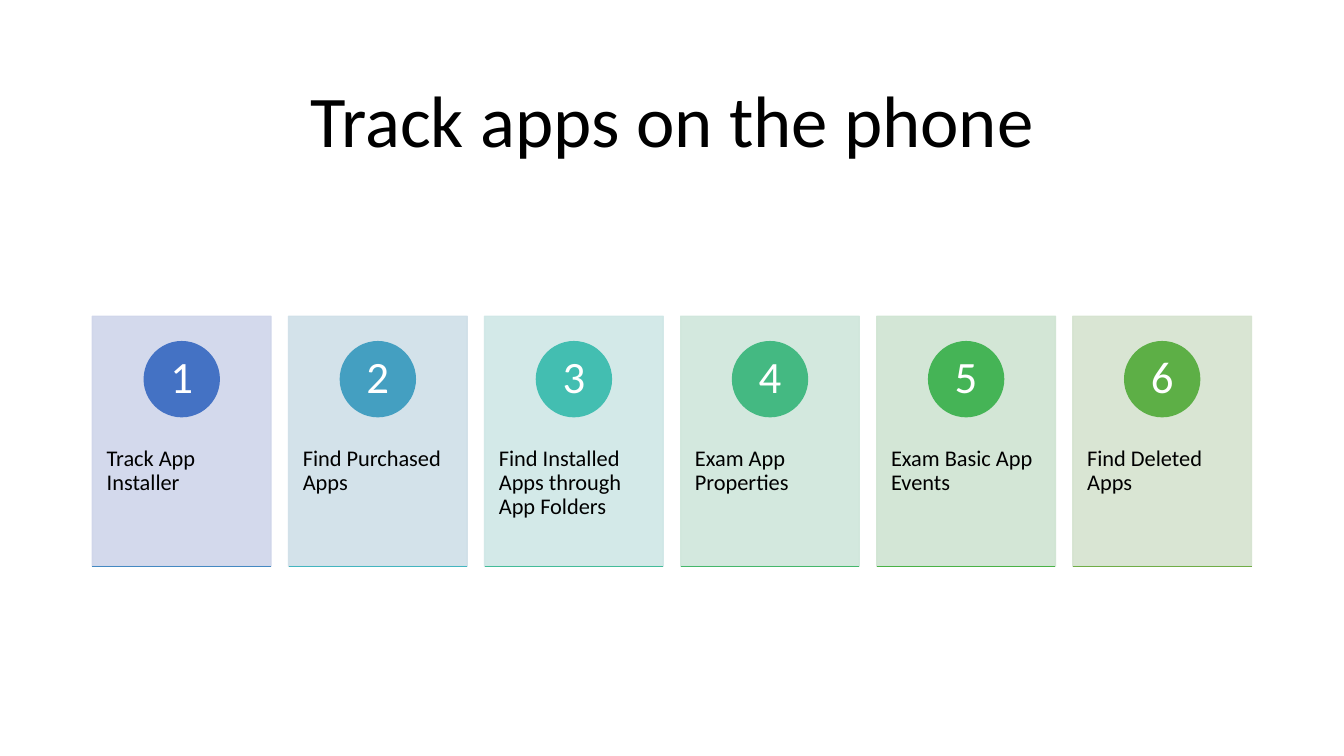
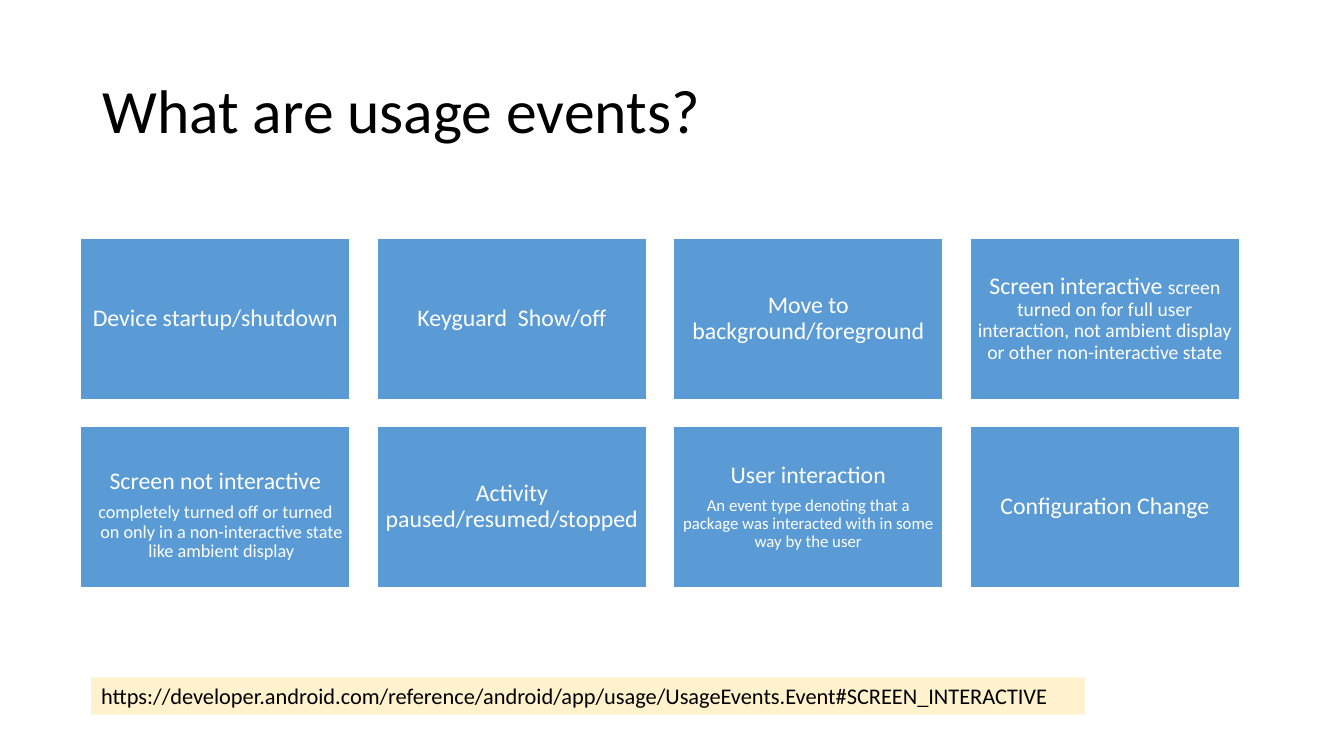
from dataclasses import dataclass

from lxml import etree
from pptx import Presentation
from pptx import util as u
from pptx.dml.color import RGBColor
from pptx.enum import shapes, text
from pptx.oxml.ns import qn


@dataclass(frozen=True)
class Theme:
    font: str = "Calibri"
    ink: str = "000000"
    paper: str = "FFFFFF"
    event_fill: str = "5B9BD5"
    link_fill: str = "FFF2CC"
    title_large: int = 52
    title: int = 44
    badge: int = 32
    event: int = 17
    body: int = 16
    line_width: int = 1
    line_spacing: float = 0.9
    card_opacity: int = 90


@dataclass(frozen=True)
class Box:
    """A region in centimetres."""
    left: float
    top: float
    width: float
    height: float

    def lengths(self):
        return [u.Cm(v) for v in (self.left, self.top, self.width, self.height)]

    def cells(self, columns, rows, gap):
        """Equal cells, row by row."""
        width = (self.width - gap * (columns - 1)) / columns
        height = (self.height - gap * (rows - 1)) / rows
        return [Box(self.left + column * (width + gap),
                    self.top + row * (height + gap), width, height)
                for row in range(rows) for column in range(columns)]


@dataclass(frozen=True)
class Step:
    label: str
    card: str
    badge: str
    rule: str


@dataclass(frozen=True)
class Event:
    heading: str
    detail: str = ""
    detail_size: int = 12
    same_paragraph: bool = False
    lowered: bool = False


THEME = Theme()
SLIDE_SIZE = (33.87, 19.05)

STEPS = [
    Step("Track App Installer", "CFD5EA", "4472C4", "4489C2"),
    Step("Find Purchased Apps", "CFDFE8", "449FC1", "43B5BF"),
    Step("Find Installed Apps through App Folders", "CFE7E6", "43BEB1", "43BC99"),
    Step("Exam App Properties", "CFE6DB", "44B982", "44B76B"),
    Step("Exam Basic App Events", "CFE4D2", "45B456", "49B246"),
    Step("Find Deleted Apps", "D5E3CF", "5DAF46", "70AD47"),
]

EVENTS = [
    Event("Device startup/shutdown"),
    Event("Keyguard  Show/off"),
    Event("Move to background/foreground"),
    Event("Screen interactive ",
          "screen turned on for full user interaction, not ambient display "
          "or other non-interactive state", 14, same_paragraph=True),
    Event("Screen not interactive",
          "completely turned off or turned on only in a non-interactive state "
          "like ambient display", 13, lowered=True),
    Event("Activity paused/resumed/stopped"),
    Event("User interaction",
          "An event type denoting that a package was interacted with in some "
          "way by the user", 12),
    Event("Configuration Change"),
]

LINK = ("https://developer.android.com/reference/android/app/usage/"
        "UsageEvents.Event#SCREEN_INTERACTIVE")


def format_run(run, size, color):
    run.font.name = THEME.font
    run.font.size = u.Pt(size)
    run.font.color.rgb = RGBColor.from_string(color)


def format_paragraph(paragraph, size, color, align, spacing=THEME.line_spacing):
    paragraph.alignment = align
    paragraph.line_spacing = spacing
    for run in paragraph.runs:
        format_run(run, size, color)


def set_frame(frame, anchor, margins):
    """Wrap and anchor a frame; margins are horizontal, top and bottom."""
    side, top, bottom = (u.Cm(margin) for margin in margins)
    frame.word_wrap = True
    frame.vertical_anchor = anchor
    frame.margin_left = frame.margin_right = side
    frame.margin_top, frame.margin_bottom = top, bottom


def add_panel(slide, box, fill, line=None, kind=shapes.MSO_SHAPE.RECTANGLE):
    panel = slide.shapes.add_shape(kind, *box.lengths())
    panel.shadow.inherit = False
    panel.fill.solid()
    panel.fill.fore_color.rgb = RGBColor.from_string(fill)
    if line:
        panel.line.color.rgb = RGBColor.from_string(line)
        panel.line.width = u.Pt(THEME.line_width)
    else:
        panel.line.fill.background()
    return panel


def set_opacity(shape, percent):
    for color in shape._element.spPr.iter(qn("a:srgbClr")):
        etree.SubElement(color, qn("a:alpha")).set("val", str(percent * 1000))


def add_title(slide, box, title, size, align):
    frame = slide.shapes.add_textbox(*box.lengths()).text_frame
    set_frame(frame, text.MSO_ANCHOR.MIDDLE, (0.25, 0.13, 0.13))
    frame.text = title
    format_paragraph(frame.paragraphs[0], size, THEME.ink, align)


def add_rule(slide, box, color):
    """Draw a line along the bottom edge of the box."""
    bottom = u.Cm(box.top + box.height)
    rule = slide.shapes.add_connector(
        shapes.MSO_CONNECTOR.STRAIGHT,
        u.Cm(box.left), bottom, u.Cm(box.left + box.width), bottom)
    rule.line.color.rgb = RGBColor.from_string(color)
    rule.line.width = u.Pt(THEME.line_width)
    etree.SubElement(rule._element.spPr, qn("a:effectLst"))


def add_step_card(slide, box, number, step):
    card = add_panel(slide, box, step.card, step.card)
    set_opacity(card, THEME.card_opacity)
    set_frame(card.text_frame, text.MSO_ANCHOR.TOP, (0.36, 3.3, 0.9))
    card.text_frame.text = step.label
    format_paragraph(card.text_frame.paragraphs[0], THEME.body, THEME.ink,
                     text.PP_ALIGN.LEFT)

    diameter = 1.89
    badge_box = Box(box.left + (box.width - diameter) / 2, box.top + 0.64,
                    diameter, diameter)
    badge = add_panel(slide, badge_box, step.badge, step.badge,
                      shapes.MSO_SHAPE.OVAL)
    set_frame(badge.text_frame, text.MSO_ANCHOR.MIDDLE, (0, 0, 0))
    badge.text_frame.text = str(number)
    format_paragraph(badge.text_frame.paragraphs[0], THEME.badge, THEME.paper,
                     text.PP_ALIGN.CENTER)
    add_rule(slide, box, step.rule)


def add_event_tile(slide, box, event):
    tile = add_panel(slide, box, THEME.event_fill, THEME.paper)
    frame = tile.text_frame
    if event.lowered:
        set_frame(frame, text.MSO_ANCHOR.TOP, (0.17, 1.06, 0.17))
    else:
        set_frame(frame, text.MSO_ANCHOR.MIDDLE, (0.17, 0.17, 0.17))
    frame.text = event.heading
    heading = frame.paragraphs[0]
    format_paragraph(heading, THEME.event, THEME.paper, text.PP_ALIGN.CENTER)
    if not event.detail:
        return
    if event.same_paragraph:
        run = heading.add_run()
        run.text = event.detail
        format_run(run, event.detail_size, THEME.paper)
        return
    detail = frame.add_paragraph()
    detail.text = event.detail
    detail.space_before = u.Pt(6)
    format_paragraph(detail, event.detail_size, THEME.paper,
                     text.PP_ALIGN.CENTER)
    if event.lowered:
        properties = detail._p.get_or_add_pPr()
        properties.set("marL", str(u.Cm(0.3)))
        properties.set("indent", str(u.Cm(-0.3)))


def add_link_bar(slide, box, link):
    bar = add_panel(slide, box, THEME.link_fill)
    set_frame(bar.text_frame, text.MSO_ANCHOR.TOP, (0.25, 0.13, 0.13))
    bar.text_frame.text = link
    format_paragraph(bar.text_frame.paragraphs[0], THEME.body, THEME.ink,
                     text.PP_ALIGN.LEFT, 1.0)


def build_steps_slide(slide):
    add_title(slide, Box(2.33, 1.55, 29.21, 3.15), "Track apps on the phone",
              THEME.title_large, text.PP_ALIGN.CENTER)
    cards = Box(2.33, 7.97, 29.21, 6.3).cells(len(STEPS), 1, 0.44)
    for number, (box, step) in enumerate(zip(cards, STEPS), start=1):
        add_step_card(slide, box, number, step)


def build_events_slide(slide):
    add_title(slide, Box(2.33, 1.01, 29.21, 3.68), "What are usage events?",
              THEME.title, text.PP_ALIGN.LEFT)
    tiles = Box(2.03, 6, 29.21, 8.81).cells(4, 2, 0.68)
    for box, event in zip(tiles, EVENTS):
        add_event_tile(slide, box, event)
    add_link_bar(slide, Box(2.3, 17.07, 25.04, 0.94), LINK)


def main():
    presentation = Presentation()
    presentation.slide_width, presentation.slide_height = map(u.Cm, SLIDE_SIZE)
    blank = presentation.slide_layouts[6]
    for build in (build_steps_slide, build_events_slide):
        build(presentation.slides.add_slide(blank))
    presentation.save("out.pptx")


if __name__ == "__main__":
    main()
